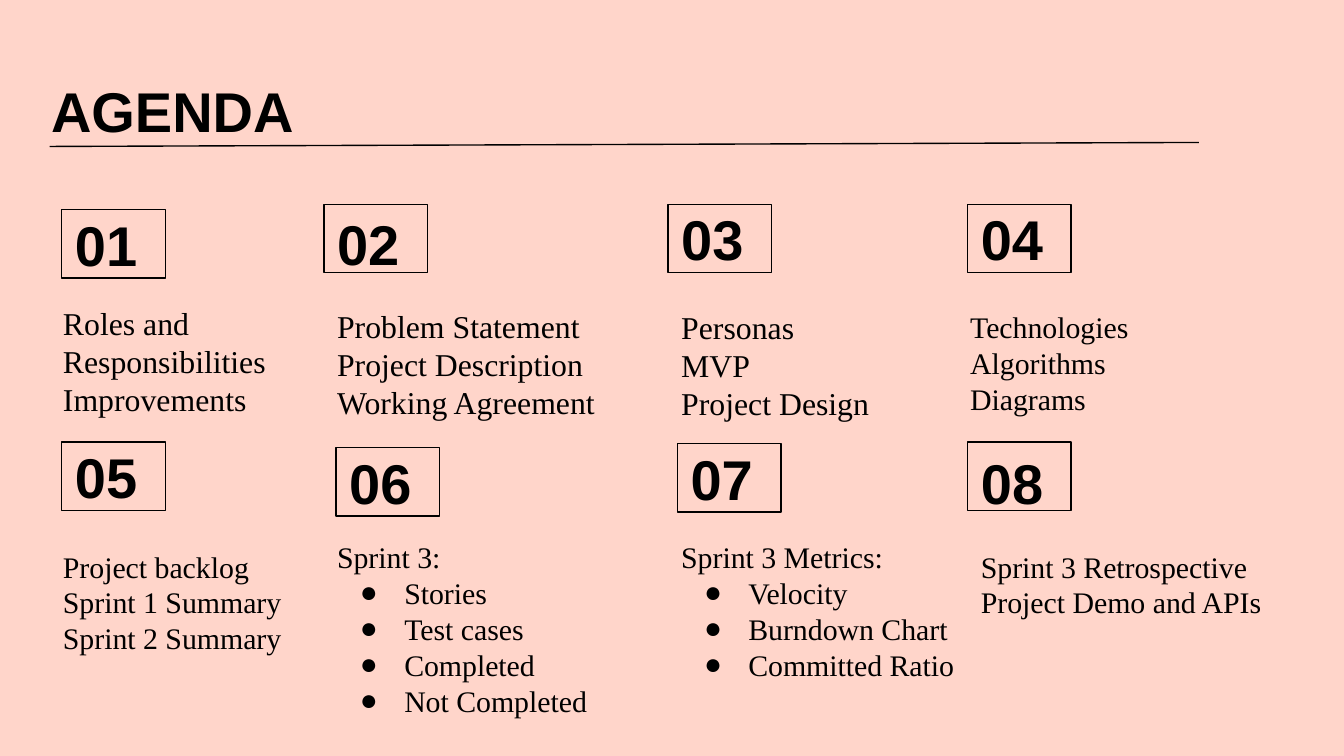
from dataclasses import dataclass
from typing import Optional

from lxml import etree
from pptx import Presentation, util as u
from pptx.dml.color import RGBColor
from pptx.enum import shapes, text
from pptx.oxml import ns

PX = u.Inches(1) // 100
INK = "000000"
PAPER = "FFD5CA"
HEADING_FONT, BODY_FONT = "Arial", "Times New Roman"
BADGE_WIDTH, BADGE_HEIGHT = 77, 51
INSET = 10


@dataclass(frozen=True)
class Box:
    left: int
    top: int
    width: int
    height: int

    def emu(self) -> tuple[int, ...]:
        return tuple(v * PX for v in (self.left, self.top, self.width, self.height))


@dataclass(frozen=True)
class Topic:
    number: str
    badge_left: int
    badge_top: int
    body: Box
    size: int
    lines: tuple[str, ...]
    bullets: tuple[str, ...] = ()
    number_box: Optional[Box] = None  # set where the number sits off the badge centre


TOPICS = (
    Topic("01", 46, 156, Box(37, 216, 175, 114), 17,
          ("Roles and Responsibilities", "Improvements")),
    Topic("02", 241, 152, Box(241, 218, 233, 104), 17,
          ("Problem Statement", "Project Description", "Working Agreement"),
          number_box=Box(241, 151, 80, 60)),
    Topic("03", 497, 152, Box(497, 219, 201, 105), 17,
          ("Personas", "MVP", "Project Design")),
    Topic("04", 720, 152, Box(712, 220, 281, 105), 16,
          ("Technologies", "Algorithms", "Diagrams")),
    Topic("05", 46, 329, Box(37, 398, 254, 140), 16,
          ("Project backlog", "Sprint 1 Summary", "Sprint 2 Summary")),
    Topic("06", 250, 333, Box(241, 391, 254, 129), 16, ("Sprint 3:",),
          ("Stories", "Test cases", "Completed", "Not Completed")),
    Topic("07", 504, 330, Box(497, 391, 227, 155), 16, ("Sprint 3 Metrics:",),
          ("Velocity", "Burndown Chart", "Committed Ratio")),
    Topic("08", 720, 329, Box(720, 398, 266, 74), 16,
          ("Sprint 3 Retrospective", "Project Demo and APIs"),
          number_box=Box(720, 323, 95, 71)),
)


def colour(value: str) -> RGBColor:
    return RGBColor.from_string(value)


def prepare_frame(frame, anchor) -> None:
    frame.word_wrap = True
    frame.auto_size = text.MSO_AUTO_SIZE.NONE
    frame.vertical_anchor = anchor
    frame.margin_left = frame.margin_right = INSET * PX
    frame.margin_top = frame.margin_bottom = INSET * PX


def add_run(paragraph, words: str, font: str, size: int, bold: bool = False) -> None:
    paragraph.alignment = text.PP_ALIGN.LEFT
    run = paragraph.add_run()
    run.text = words
    run.font.name = font
    run.font.size = u.Pt(size)
    run.font.bold = bold
    run.font.color.rgb = colour(INK)


def write_heading(frame, words: str, anchor) -> None:
    prepare_frame(frame, anchor)
    add_run(frame.paragraphs[0], words, HEADING_FONT, 30, bold=True)


def add_bullet(paragraph) -> None:
    properties = paragraph._p.get_or_add_pPr()
    properties.set("marL", str(50 * PX))
    properties.set("indent", str(-33 * PX))
    tint = etree.SubElement(properties, ns.qn("a:buClr"))
    etree.SubElement(tint, ns.qn("a:srgbClr"), val=INK)
    etree.SubElement(properties, ns.qn("a:buFont"), typeface=BODY_FONT)
    etree.SubElement(properties, ns.qn("a:buChar"), char="●")


def draw_title(slide, words: str, box: Box) -> None:
    title = slide.shapes.title
    title.left, title.top, title.width, title.height = box.emu()
    write_heading(title.text_frame, words, text.MSO_ANCHOR.TOP)


def draw_rule(slide, start: tuple[int, int], end: tuple[int, int]) -> None:
    rule = slide.shapes.add_connector(
        shapes.MSO_CONNECTOR.STRAIGHT, *(v * PX for v in start + end))
    rule.line.color.rgb = colour(INK)
    rule.line.width = u.Pt(0.75)
    etree.SubElement(rule._element.spPr, ns.qn("a:effectLst"))


def draw_number(slide, topic: Topic) -> None:
    outline = Box(topic.badge_left, topic.badge_top, BADGE_WIDTH, BADGE_HEIGHT)
    badge = slide.shapes.add_shape(
        shapes.MSO_SHAPE.FLOWCHART_PROCESS, *outline.emu())
    badge.shadow.inherit = False
    badge.fill.background()
    badge.line.color.rgb = colour(INK)
    badge.line.width = u.Pt(0.75)
    holder = badge
    if topic.number_box:
        holder = slide.shapes.add_textbox(*topic.number_box.emu())
    write_heading(holder.text_frame, topic.number, text.MSO_ANCHOR.MIDDLE)


def draw_body(slide, topic: Topic) -> None:
    frame = slide.shapes.add_textbox(*topic.body.emu()).text_frame
    prepare_frame(frame, text.MSO_ANCHOR.TOP)
    for index, words in enumerate(topic.lines + topic.bullets):
        paragraph = frame.add_paragraph() if index else frame.paragraphs[0]
        if index >= len(topic.lines):
            add_bullet(paragraph)
        add_run(paragraph, words, BODY_FONT, topic.size)


def main() -> None:
    deck = Presentation()
    deck.slide_width = u.Inches(10)
    deck.slide_height = deck.slide_width * 9 // 16
    slide = deck.slides.add_slide(deck.slide_layouts[5])
    slide.background.fill.solid()
    slide.background.fill.fore_color.rgb = colour(PAPER)

    draw_title(slide, "AGENDA", Box(28, 47, 843, 63))
    draw_rule(slide, (37, 109), (892, 106))
    for topic in TOPICS:
        draw_number(slide, topic)
        draw_body(slide, topic)
    deck.save("out.pptx")


if __name__ == "__main__":
    main()
